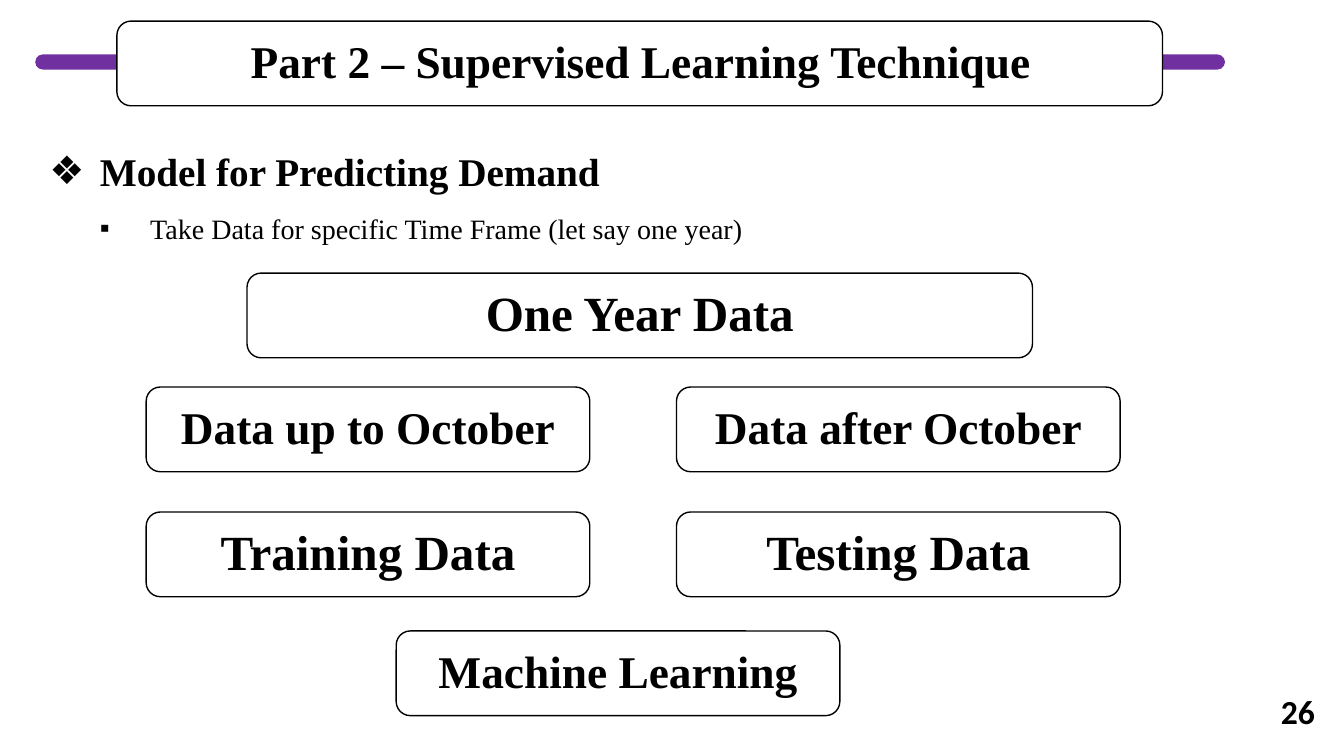
from lxml import etree
from pptx import Presentation
from pptx.dml.color import RGBColor
from pptx.enum.shapes import MSO_SHAPE
from pptx.enum.text import MSO_ANCHOR, MSO_AUTO_SIZE, PP_ALIGN
from pptx.oxml.ns import qn
from pptx.util import Inches, Pt

ROUND = MSO_SHAPE.ROUNDED_RECTANGLE
RECT = MSO_SHAPE.RECTANGLE
BOTTOM, MIDDLE, TOP = MSO_ANCHOR.BOTTOM, MSO_ANCHOR.MIDDLE, MSO_ANCHOR.TOP
CENTER, RIGHT = PP_ALIGN.CENTER, PP_ALIGN.RIGHT
LEFT, JUSTIFY = PP_ALIGN.LEFT, PP_ALIGN.JUSTIFY
FIXED = MSO_AUTO_SIZE.NONE

BLACK = RGBColor(0x00, 0x00, 0x00)
WHITE = RGBColor(0xFF, 0xFF, 0xFF)
PURPLE = RGBColor(0x70, 0x30, 0xA0)
SERIF = "Times New Roman"
BOX_H = 0.84


def place(shape, x, y, w, h):
    shape.left, shape.top = Inches(x), Inches(y)
    shape.width, shape.height = Inches(w), Inches(h)


def style(para, size, bold=True, name=SERIF):
    font = para.font
    font.name, font.size, font.bold = name, Pt(size), bold
    font.color.rgb = BLACK


def block(shapes, kind, box, fill, line=None):
    shape = shapes.add_shape(kind, *[Inches(v) for v in box])
    shape.shadow.inherit = False
    shape.fill.solid()
    shape.fill.fore_color.rgb = fill
    if line is None:
        shape.line.fill.background()
    else:
        shape.line.color.rgb = line
        shape.line.width = Pt(1)
    return shape


def label(shape, text, size, gap):
    """Write one centred line that sits on the bottom of its shape."""
    frame = shape.text_frame
    frame.word_wrap = True
    frame.auto_size = FIXED
    frame.vertical_anchor = BOTTOM
    para = frame.paragraphs[0]
    para.text = text
    para.alignment = CENTER
    para.line_spacing = gap
    style(para, size)


def header(slide, x, y, w):
    # Purple bar behind the title box
    bar = block(slide.shapes, ROUND, (x - 0.81, y + 0.33, 11.8, 0.15), PURPLE)
    bar.adjustments[0] = 0.5
    frame = block(slide.shapes, ROUND, (x, y, w, BOX_H), WHITE, BLACK)
    # Title in front of its frame
    title = slide.shapes.title
    place(title, x + 0.43, y + 0.1, w - 0.84, 0.62)
    label(title, "Part 2 – Supervised Learning Technique", 32.4, 0.9)
    frame.element.addnext(title.element)


def bullets(slide, x, y, w, h):
    body = slide.placeholders[1]
    place(body, x, y, w, h)
    frame = body.text_frame
    frame.auto_size = FIXED
    frame.vertical_anchor = TOP
    items = [
        ("Model for Predicting Demand", "❖", 28, True, 10, LEFT),
        ("Take Data for specific Time Frame (let say one year)",
         "▪", 20, False, 5, JUSTIFY),
    ]
    for level, (text, mark, size, bold, before, align) in enumerate(items):
        para = frame.add_paragraph() if level else frame.paragraphs[0]
        para.text = text
        para.level = level
        para.alignment = align
        # Hanging indent and bullet mark
        props = para._p.get_or_add_pPr()
        props.set("marL", str(Inches(0.5 * (level + 1))))
        props.set("indent", str(Inches(-0.5)))
        etree.SubElement(props, qn("a:buChar")).set("char", mark)
        para.line_spacing = 1.3
        para.space_before = Pt(before)
        style(para, size, bold)


def card(slide, x, y, w, text, size, gap):
    """Group a rounded frame with its inner text panel."""
    group = slide.shapes.add_group_shape()
    block(group.shapes, ROUND, (x, y, w, BOX_H), WHITE, BLACK)
    pad = 0.042 * w
    panel = block(group.shapes, RECT,
                  (x + pad, y + 0.1, w - 2 * pad, 0.62), WHITE)
    label(panel, text, size, gap)


def diagram(slide, x, y):
    big, small = (35.1, 0.8), (32.4, 0.9)
    wide, slim, step = 7.79, 4.4, 5.26
    # Whole data set
    card(slide, x + 1, y, wide, "One Year Data", *big)
    # Two columns: period above, use below
    rows = [
        (1.13, ("Data up to October", "Data after October"), small),
        (2.37, ("Training Data", "Testing Data"), big),
    ]
    for down, texts, look in rows:
        for col, text in enumerate(texts):
            card(slide, x + col * step, y + down, slim, text, *look)
    # Result
    card(slide, x + 2.48, y + 3.55, slim, "Machine Learning", *small)


def number(slide, x, y, w, h):
    box = slide.shapes.add_textbox(*[Inches(v) for v in (x, y, w, h)])
    frame = box.text_frame
    frame.word_wrap = True
    frame.vertical_anchor = MIDDLE
    para = frame.paragraphs[0]
    para.text = "26"
    para.alignment = RIGHT
    style(para, 24, name="Calibri")


def main():
    deck = Presentation()
    deck.slide_width, deck.slide_height = Inches(13.33), Inches(7.5)
    slide = deck.slides.add_slide(deck.slide_layouts[0])
    bullets(slide, 0.39, 1.27, 12.46, 4.28)
    number(slide, 12.5, 6.85, 0.64, 0.4)
    diagram(slide, 1.45, 2.71)
    header(slide, 1.16, 0.21, 10.37)
    deck.save("out.pptx")


if __name__ == "__main__":
    main()
